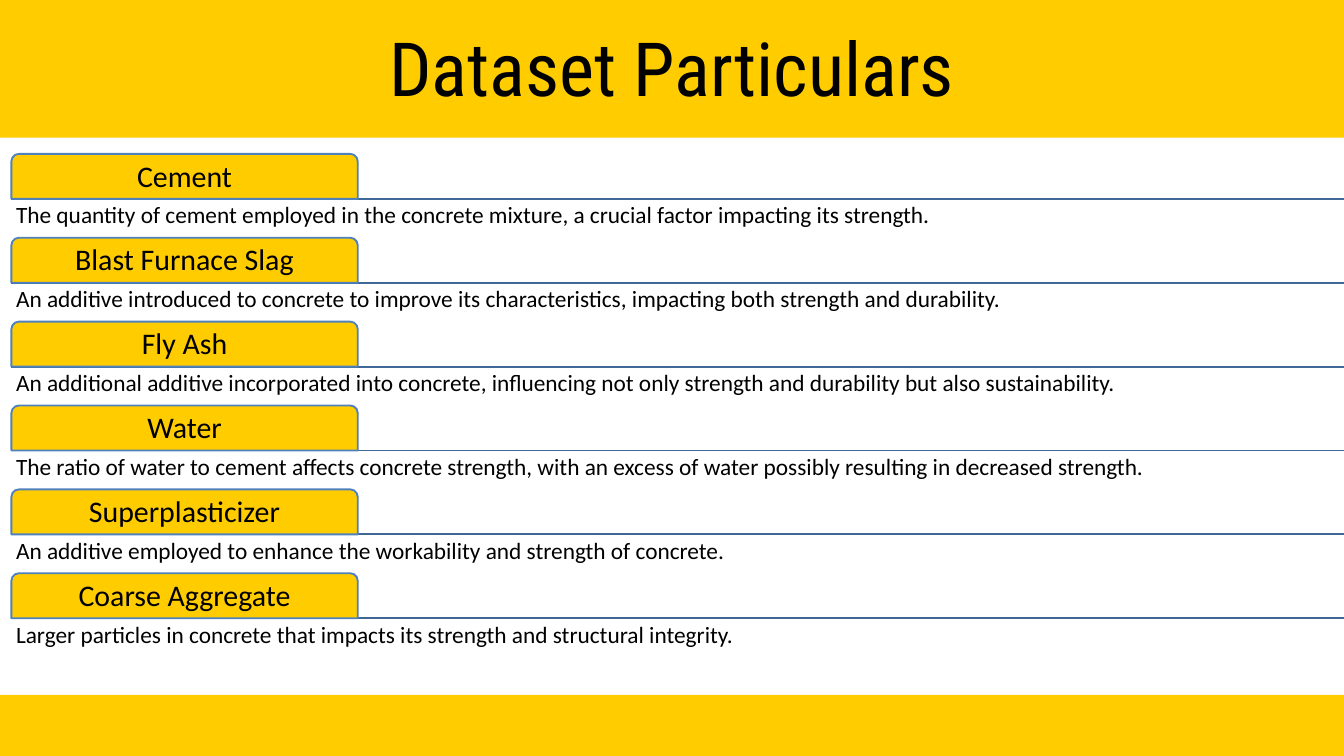
from lxml import etree
from pptx import Presentation
from pptx.dml.color import RGBColor
from pptx.enum.shapes import MSO_CONNECTOR, MSO_SHAPE
from pptx.enum.text import MSO_ANCHOR, MSO_AUTO_SIZE, PP_ALIGN
from pptx.oxml.ns import qn
from pptx.util import Pt

YELLOW = RGBColor(0xFF, 0xCC, 0x00)
TAB_OUTLINE = RGBColor(0x4F, 0x81, 0xBD)
RULE_BLUE = RGBColor(0x3F, 0x67, 0x97)
BLACK = RGBColor(0x00, 0x00, 0x00)

RECTANGLE = MSO_SHAPE.RECTANGLE
TAB_SHAPE = MSO_SHAPE.ROUND_2_SAME_RECTANGLE
STRAIGHT = MSO_CONNECTOR.STRAIGHT
TOP, MIDDLE = MSO_ANCHOR.TOP, MSO_ANCHOR.MIDDLE
LEFT, CENTER = PP_ALIGN.LEFT, PP_ALIGN.CENTER
NO_AUTOFIT = MSO_AUTO_SIZE.NONE

TITLE_ONLY = 5
PAGE_WIDTH, PAGE_HEIGHT = 1440, 810
FIRST_TAB_TOP, ROW_PITCH = 164.9, 89.86
ROW_LEFT, TAB_WIDTH, TAB_HEIGHT = 12.24, 371.1, 48.2
DESCRIPTION_HEIGHT = 96.5

PARTICULARS = [
    ("Cement",
     "The quantity of cement employed in the concrete mixture, "
     "a crucial factor impacting its strength."),
    ("Blast Furnace Slag",
     "An additive introduced to concrete to improve its characteristics, "
     "impacting both strength and durability."),
    ("Fly Ash",
     "An additional additive incorporated into concrete, influencing "
     "not only strength and durability but also sustainability."),
    ("Water",
     "The ratio of water to cement affects concrete strength, "
     "with an excess of water possibly resulting in decreased strength."),
    ("Superplasticizer",
     "An additive employed to enhance the workability and strength of concrete."),
    ("Coarse Aggregate",
     "Larger particles in concrete that impacts its strength "
     "and structural integrity."),
]


def points(*values):
    return [Pt(value) for value in values]


def set_text(shape, text, font_name, size, align, anchor, inset, spacing):
    frame = shape.text_frame
    frame_format = {
        "word_wrap": True,
        "auto_size": NO_AUTOFIT,
        "vertical_anchor": anchor,
        "margin_left": Pt(inset),
        "margin_top": Pt(inset),
        "margin_right": Pt(inset),
        "margin_bottom": Pt(inset),
    }
    for name, value in frame_format.items():
        setattr(frame, name, value)
    para = frame.paragraphs[0]
    para.alignment = align
    para.line_spacing = spacing
    span = para.add_run()
    span.text = text
    for name, value in {"name": font_name, "size": Pt(size), "bold": False}.items():
        setattr(span.font, name, value)
    span.font.color.rgb = BLACK


def add_filled(page, kind, box):
    """Add a yellow shape without outline or shadow."""
    shape = page.shapes.add_shape(kind, *points(*box))
    shape.shadow.inherit = False
    shape.fill.solid()
    shape.fill.fore_color.rgb = YELLOW
    shape.line.fill.background()
    return shape


def add_header(page, box):
    band = add_filled(page, RECTANGLE, box)
    title = page.shapes.title
    band.element.addnext(title.element)
    left, top, width, height = box
    title_width = 751.7
    title.left, title.top, title.width, title.height = points(
        left + (width - title_width) / 2, top + 38.9, title_width, 80.6)
    set_text(title, "Dataset Particulars", "Roboto Condensed", 80,
             CENTER, MIDDLE, 0, Pt(80))


def add_particular(page, box, name, description):
    """Add a tab standing on a rule, with the description under it."""
    left, top, width, height = box
    rule_top = top + TAB_HEIGHT

    rule = page.shapes.add_connector(
        STRAIGHT, *points(left, rule_top, left + width, rule_top))
    rule.line.color.rgb = RULE_BLUE
    rule.line.width = Pt(2)
    etree.SubElement(rule.element.spPr, qn("a:effectLst"))

    tab = add_filled(page, TAB_SHAPE, (left, top, TAB_WIDTH, TAB_HEIGHT))
    tab.line.color.rgb = TAB_OUTLINE
    tab.line.width = Pt(2)
    set_text(tab, name, "Calibri", 32, CENTER, MIDDLE, 5, 0.9)

    body = page.shapes.add_textbox(
        *points(left, rule_top, width, height - TAB_HEIGHT))
    set_text(body, description, "Calibri", 25, LEFT, TOP, 5, 0.9)


def add_particulars(page):
    width, height = PAGE_WIDTH - ROW_LEFT, TAB_HEIGHT + DESCRIPTION_HEIGHT
    for row, (name, description) in enumerate(PARTICULARS):
        box = (ROW_LEFT, FIRST_TAB_TOP + row * ROW_PITCH, width, height)
        add_particular(page, box, name, description)


def main():
    deck = Presentation()
    deck.slide_width, deck.slide_height = points(PAGE_WIDTH, PAGE_HEIGHT)
    page = deck.slides.add_slide(deck.slide_layouts[TITLE_ONLY])
    add_header(page, (0, 0, PAGE_WIDTH, 147.6))
    add_filled(page, RECTANGLE, (0, 744.5, PAGE_WIDTH, 68.4))
    add_particulars(page)
    deck.save("out.pptx")


if __name__ == "__main__":
    main()
